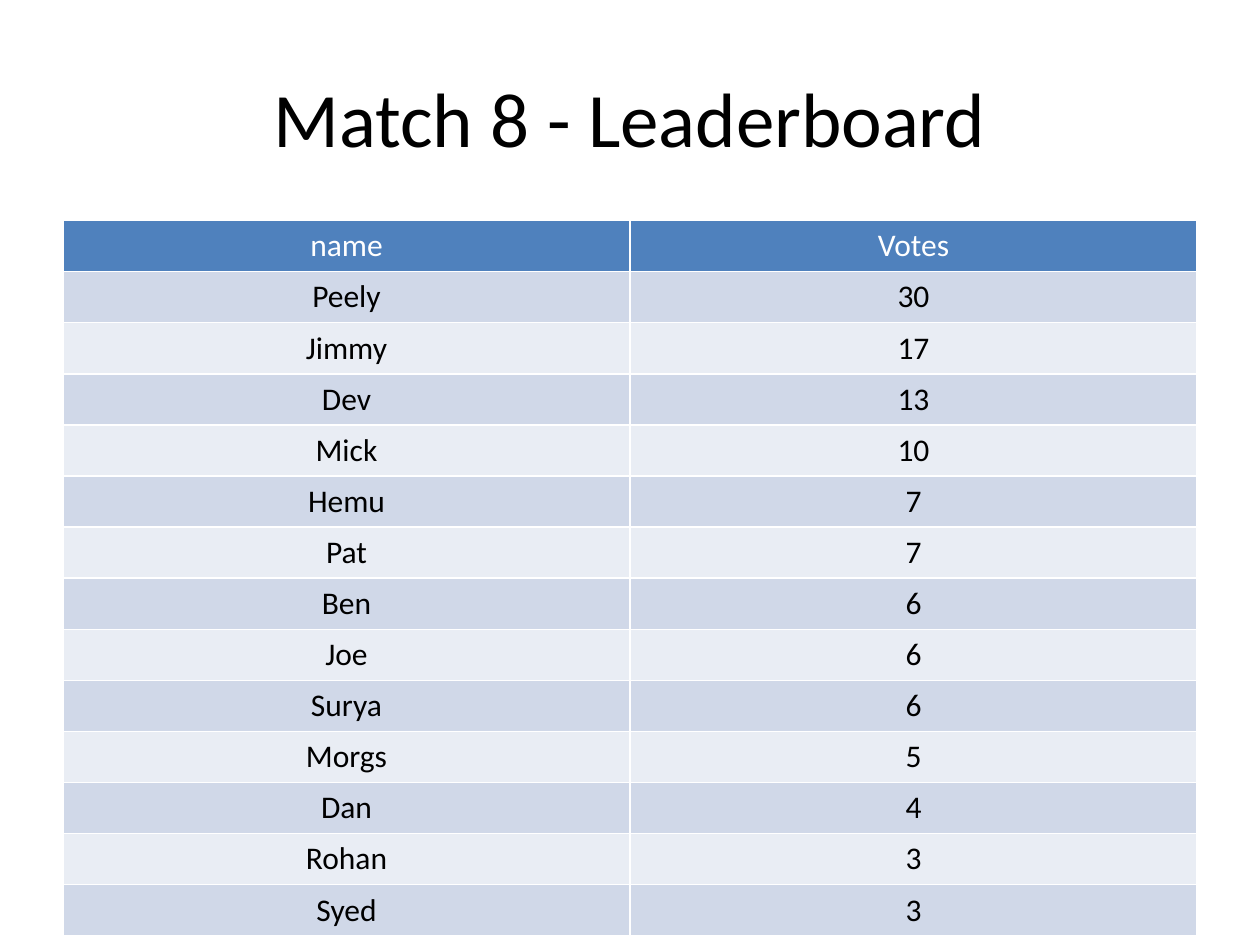
from pptx import Presentation
from pptx.dml.color import RGBColor
from pptx.enum.text import MSO_ANCHOR, PP_ALIGN
from pptx.util import Pt

CENTER = PP_ALIGN.CENTER
MIDDLE = MSO_ANCHOR.MIDDLE

TITLE = "Match 8 - Leaderboard"
ROWS = [
    ("name", "Votes"),
    ("Peely", 30),
    ("Jimmy", 17),
    ("Dev", 13),
    ("Mick", 10),
    ("Hemu", 7),
    ("Pat", 7),
    ("Ben", 6),
    ("Joe", 6),
    ("Surya", 6),
    ("Morgs", 5),
    ("Dan", 4),
    ("Rohan", 3),
    ("Syed", 3),
]
FONT = "Calibri"
BLACK, WHITE = "000000", "FFFFFF"
HEAD, BANDS = "4F81BD", ("E9EDF4", "D0D8E8")
LEFT, WIDTH, ROW_H = 36, 648, 29.2


def color(code):
    return RGBColor.from_string(code)


def write(frame, text, size, ink):
    para = frame.paragraphs[0]
    para.text = str(text)
    para.alignment = CENTER
    font = para.font
    font.name, font.size, font.bold = FONT, Pt(size), False
    font.color.rgb = color(ink)


def add_title(slide):
    box = slide.shapes.add_textbox(Pt(LEFT), Pt(21.6), Pt(WIDTH), Pt(90))
    frame = box.text_frame
    frame.word_wrap = True
    frame.vertical_anchor = MIDDLE
    write(frame, TITLE, 44, BLACK)


def add_board(slide):
    table = slide.shapes.add_table(
        len(ROWS), len(ROWS[0]), Pt(LEFT), Pt(126), Pt(WIDTH), Pt(ROW_H * len(ROWS))
    ).table
    for r, row in enumerate(ROWS):
        table.rows[r].height = Pt(ROW_H)
        fill, ink = (BANDS[r % 2], BLACK) if r else (HEAD, WHITE)
        for c, text in enumerate(row):
            cell = table.cell(r, c)
            cell.fill.solid()
            cell.fill.fore_color.rgb = color(fill)
            write(cell.text_frame, text, 18, ink)


def main():
    deck = Presentation()
    deck.slide_width, deck.slide_height = Pt(720), Pt(540)
    slide = deck.slides.add_slide(deck.slide_layouts[6])
    add_title(slide)
    add_board(slide)
    deck.save("out.pptx")


if __name__ == "__main__":
    main()
